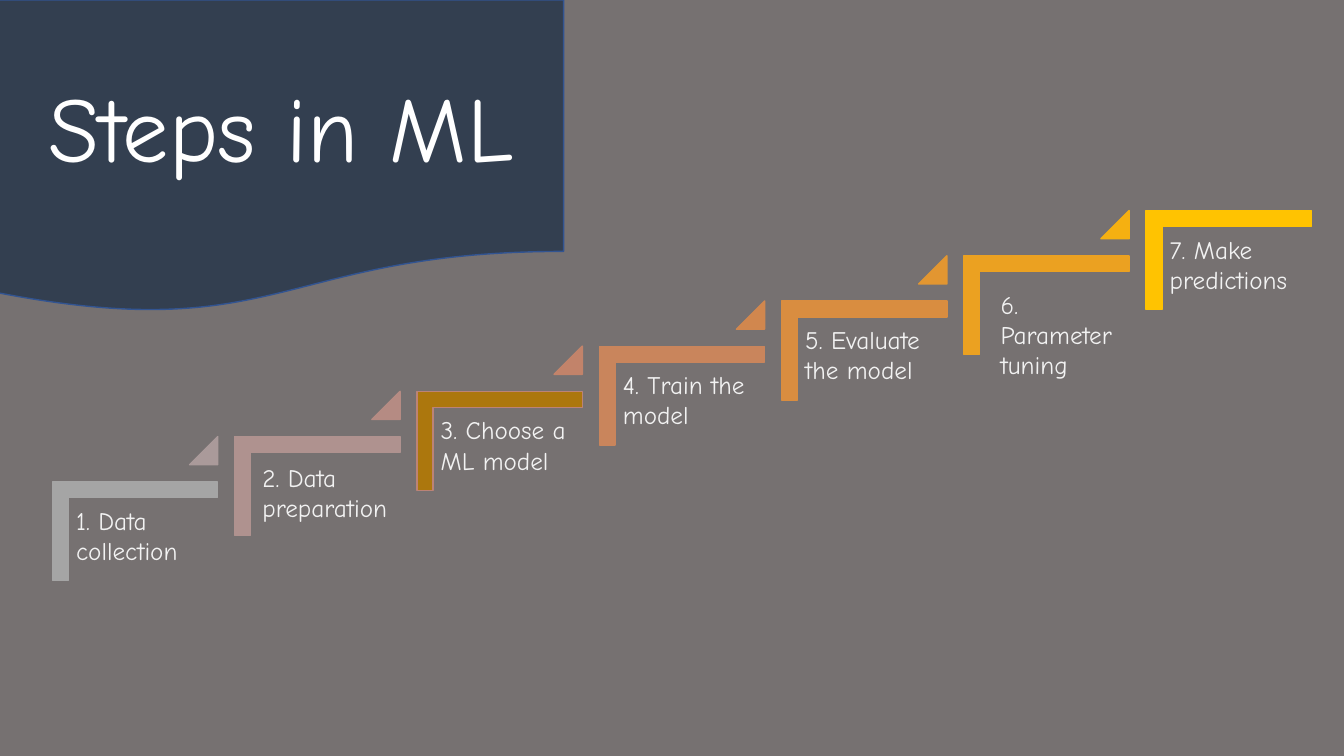
"""Build the slide showing the seven steps in ML as a rising staircase."""
import pptx
import pptx.dml.color
import pptx.enum.shapes
import pptx.enum.text
import pptx.util

Pt = pptx.util.Pt
SHAPES = pptx.enum.shapes.MSO_SHAPE
ALIGN = pptx.enum.text.PP_ALIGN
ANCHOR = pptx.enum.text.MSO_ANCHOR

TITLE = "Steps in ML"
STEPS = [
    {"label": "1. Data collection", "fill": "A5A5A5", "marker": "AA9A9A"},
    {"label": "2. Data preparation", "fill": "AF928F", "marker": "B58B83", "nudge": (2.9, 1.4)},
    {"label": "3. Choose a ML model", "fill": "AC770D", "line": "BB8377", "marker": "C2836A"},
    {"label": "4. Train the model", "fill": "C9855C", "marker": "D1874E"},
    {"label": "5. Evaluate the model", "fill": "D98D40", "marker": "E29631"},
    {"label": "6. Parameter tuning", "fill": "EBA121", "marker": "F5B011", "nudge": (9.4, 7.2)},
    {"label": "7. Make predictions", "fill": "FFC301"},
]
THEME = {
    "font": "Comic Neue", "title_size": 66, "label_size": 18,
    "background": "767171", "banner": "333F50", "banner_line": "325491",
    "title": "FFFFFF", "label": "F2F2F2",
}

SLIDE_SIZE = (960, 540)
BANNER = (-1.4, 0, 404, 224)
TITLE_BOX = (-1.4, 0, 404, 179.6)
FIRST_CORNER = (61.2, 320.4)
RISE = (130.2, -32.28)
CORNER_SIZE = (70.56, 118.08)
CORNER_THICKNESS = 0.161
MARKER_OFFSET = (74.2, -8.6)
MARKER_SIZE = (20.16, 20.16)
LABEL_OFFSET = (-11.9, 35.3)
LABEL_SIZE = (106.56, 92.88)
LABEL_INSET = 5.04


def color(code):
    """Turn a hex code into a colour."""
    return pptx.dml.color.RGBColor.from_string(code)


def points(values):
    """Turn numbers into lengths in points."""
    return [Pt(value) for value in values]


def shifted(origin, offset):
    """Add an offset to a position."""
    return origin[0] + offset[0], origin[1] + offset[1]


def draw_shape(shapes, kind, bounds, fill, line):
    """Add a preset shape with a fill and a thin outline."""
    shape = shapes.add_shape(kind, *points(bounds))
    shape.shadow.inherit = False
    shape.fill.solid()
    shape.fill.fore_color.rgb = color(fill)
    shape.line.color.rgb = color(line)
    shape.line.width = Pt(1)
    return shape


def write_text(box, text, *, size, ink, align=ALIGN.LEFT, anchor=ANCHOR.TOP, inset=7.2):
    """Put formatted text into a box."""
    frame = box.text_frame
    frame.word_wrap = True
    frame.auto_size = pptx.enum.text.MSO_AUTO_SIZE.NONE
    frame.vertical_anchor = anchor
    frame.margin_left = frame.margin_right = Pt(inset)
    frame.margin_top = frame.margin_bottom = Pt(inset)
    para = frame.paragraphs[0]
    para.alignment = align
    para.line_spacing = 1.0
    span = para.add_run()
    span.text = text
    span.font.name = THEME["font"]
    span.font.size = Pt(size)
    span.font.color.rgb = color(ink)


def draw_step(shapes, index, step):
    """Draw one stair with its label and the marker leading to the next."""
    corner_at = (FIRST_CORNER[0] + index * RISE[0], FIRST_CORNER[1] + index * RISE[1])
    corner = draw_shape(shapes, SHAPES.CORNER, corner_at + CORNER_SIZE,
                        step["fill"], step.get("line", step["fill"]))
    corner.rotation = 90
    for number in range(2):
        corner.adjustments[number] = CORNER_THICKNESS

    label_at = shifted(shifted(corner_at, LABEL_OFFSET), step.get("nudge", (0, 0)))
    label = shapes.add_textbox(*points(label_at + LABEL_SIZE))
    write_text(label, step["label"], size=THEME["label_size"], ink=THEME["label"],
               inset=LABEL_INSET)

    if "marker" in step:
        bounds = shifted(corner_at, MARKER_OFFSET) + MARKER_SIZE
        marker = draw_shape(shapes, SHAPES.ISOSCELES_TRIANGLE, bounds,
                            step["marker"], step["marker"])
        marker.adjustments[0] = 1


def draw_title(page):
    """Draw the banner and set the title on top of it."""
    banner = draw_shape(page.shapes, SHAPES.FLOWCHART_DOCUMENT, BANNER,
                        THEME["banner"], THEME["banner_line"])
    title = page.shapes.title
    title.element.addprevious(banner.element)
    title.left, title.top, title.width, title.height = points(TITLE_BOX)
    write_text(title, TITLE, size=THEME["title_size"], ink=THEME["title"],
               align=ALIGN.CENTER, anchor=ANCHOR.MIDDLE)


def main():
    """Build and save the deck."""
    deck = pptx.Presentation()
    deck.slide_width, deck.slide_height = points(SLIDE_SIZE)
    page = deck.slides.add_slide(deck.slide_layouts.get_by_name("Title Only"))
    page.background.fill.solid()
    page.background.fill.fore_color.rgb = color(THEME["background"])
    draw_title(page)
    staircase = page.shapes.add_group_shape()
    for index, step in enumerate(STEPS):
        draw_step(staircase.shapes, index, step)
    deck.save("out.pptx")


if __name__ == "__main__":
    main()
